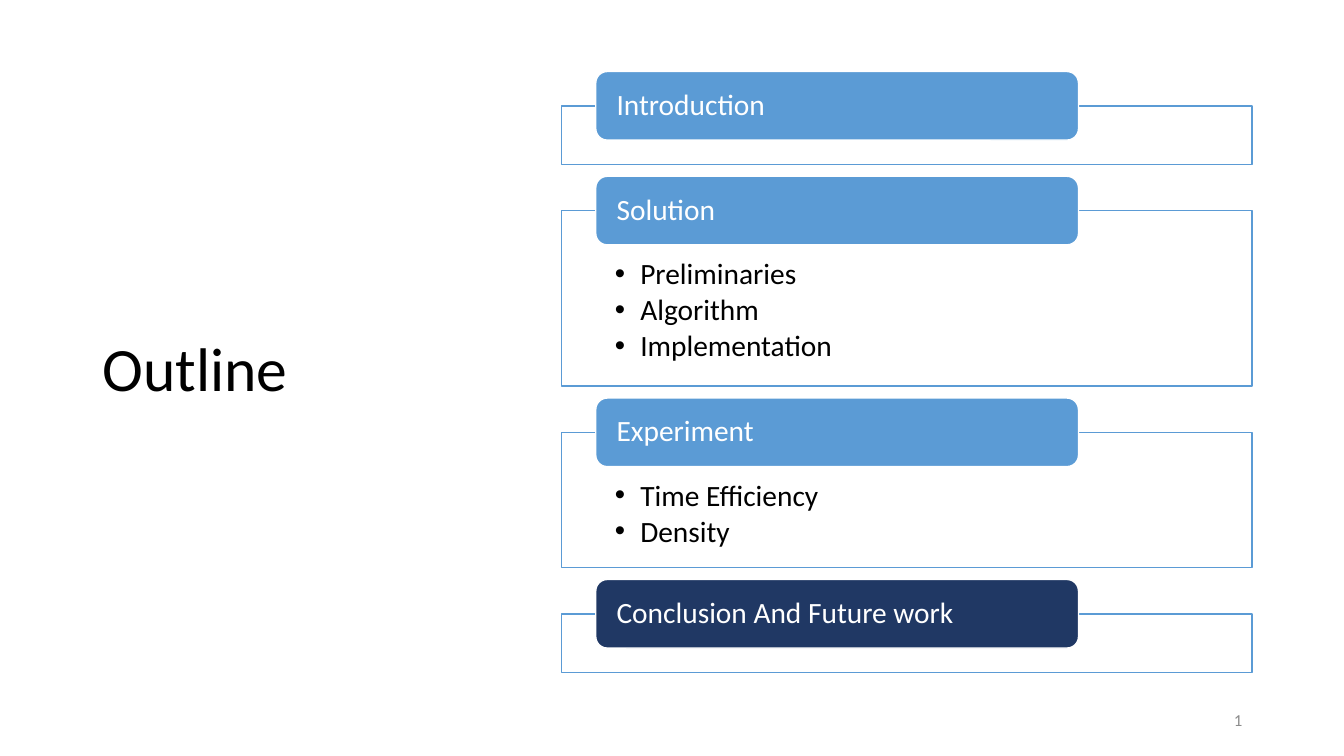
from lxml.etree import SubElement
from pptx import Presentation
from pptx.dml.color import RGBColor as RGB
from pptx.enum.shapes import MSO_SHAPE as Shape
from pptx.enum.text import MSO_ANCHOR as Anchor, PP_ALIGN as Align
from pptx.oxml.ns import qn
from pptx.util import Inches, Pt

THEME = {
    "font": "Calibri",
    "title": 44, "body": 21, "number": 12,
    "black": RGB.from_string("000000"),
    "white": RGB.from_string("FFFFFF"),
    "blue": RGB.from_string("5B9BD5"),
    "navy": RGB.from_string("203864"),
    "gray": RGB.from_string("8C8C8C"),
}

deck = Presentation()
deck.slide_width, deck.slide_height = Inches(13.33), Inches(7.5)
COL, ROW = deck.slide_width / 100, deck.slide_height / 100
slide = deck.slides.add_slide(deck.slide_layouts[6])


def write(holder, lines, size, color, anchor=Anchor.MIDDLE, align=Align.LEFT, after=0):
    frame = holder.text_frame
    frame.word_wrap = True
    frame.vertical_anchor = anchor
    frame.text = "\n".join(lines)
    for paragraph in frame.paragraphs:
        paragraph.alignment = align
        paragraph.line_spacing = 0.9
        paragraph.space_after = Pt(after)
        for run in paragraph.runs:
            run.font.name = THEME["font"]
            run.font.size = Pt(THEME[size])
            run.font.color.rgb = THEME[color]
    return frame


def add_box(kind, left, top, width, height, fill, line):
    box = slide.shapes.add_shape(
        kind, int(left * COL), int(top * ROW), int(width * COL), int(height * ROW))
    box.shadow.inherit = False
    box.fill.solid()
    box.fill.fore_color.rgb = THEME[fill]
    box.line.color.rgb = THEME[line]
    box.line.width = Pt(1)
    return box


title = slide.shapes.add_textbox(
    int(6.9 * COL), int(9.07 * ROW), int(27.68 * COL), int(80.27 * ROW))
write(title, ["Outline"], "title", "black")

sections = [
    ("Introduction", [], 7.73, "blue"),
    ("Solution", ["Preliminaries", "Algorithm", "Implementation"], 23.2, "blue"),
    ("Experiment", ["Time Efficiency", "Density"], 17.87, "blue"),
    ("Conclusion And Future work", [], 7.73, "navy"),
]
TAB_HEIGHT, GAP = 9.07, 6.13
hanging = int(1.88 * COL)
top = 14

for heading, topics, height, color in sections:
    panel = add_box(Shape.RECTANGLE, 41.78, top, 51.38, height, "white", "blue")
    if topics:
        frame = write(panel, topics, "body", "black", Anchor.TOP, after=3)
        frame.margin_left = frame.margin_right = int(3.98 * COL)
        frame.margin_top, frame.margin_bottom = int(6.4 * ROW), int(2.13 * ROW)
        for paragraph in frame.paragraphs:
            paragraph.level = 1
            properties = paragraph._p.get_or_add_pPr()
            properties.set("marL", str(hanging))
            properties.set("indent", str(-hanging))
            SubElement(properties, qn("a:buFont")).set("typeface", "Arial")
            SubElement(properties, qn("a:buChar")).set("char", "•")

    tab = add_box(Shape.ROUNDED_RECTANGLE, 44.33, top - TAB_HEIGHT / 2,
                  35.92, TAB_HEIGHT, color, "white")
    frame = write(tab, [heading], "body", "white")
    frame.margin_left = frame.margin_right = int(1.3 * COL)
    frame.margin_top = frame.margin_bottom = 0
    top += height + GAP

page_number = slide.shapes.add_textbox(
    int(70.67 * COL), int(92.67 * ROW), int(22.5 * COL), int(5.33 * ROW))
write(page_number, ["1"], "number", "gray", align=Align.RIGHT, after=6)

deck.save("out.pptx")
